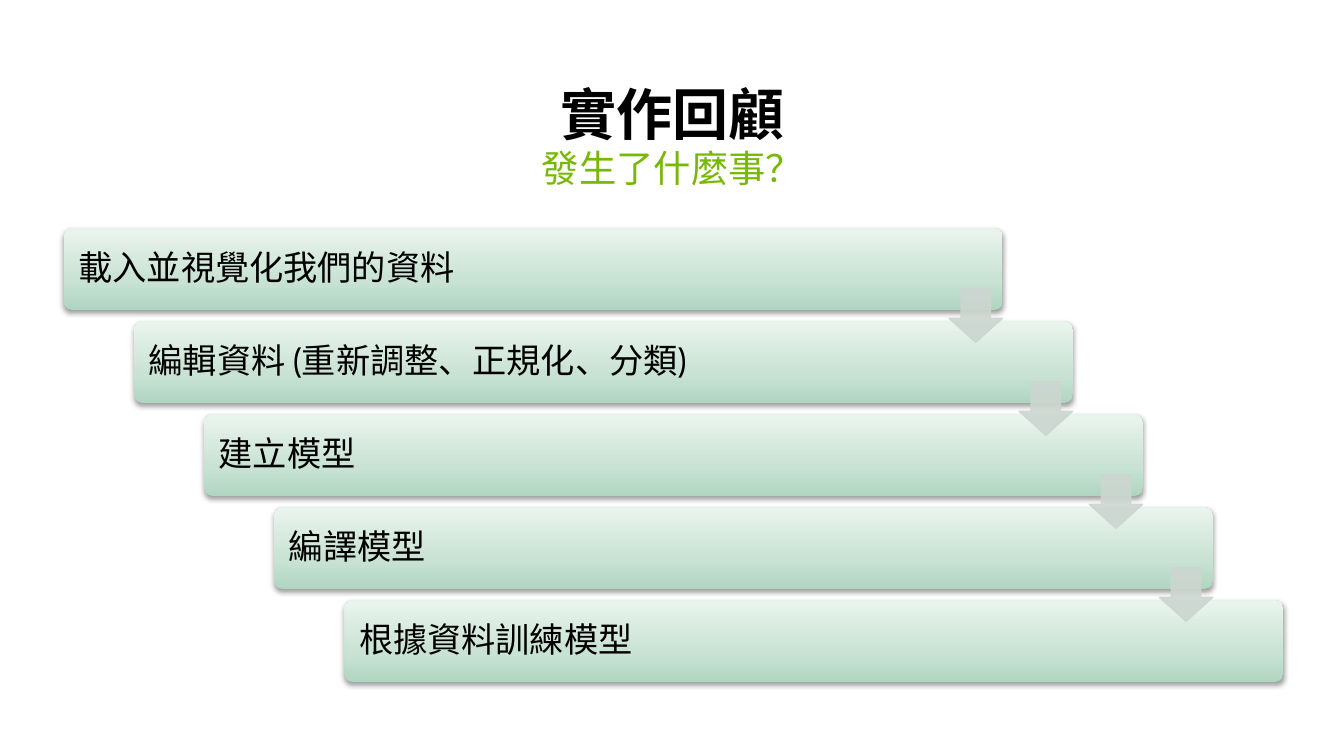
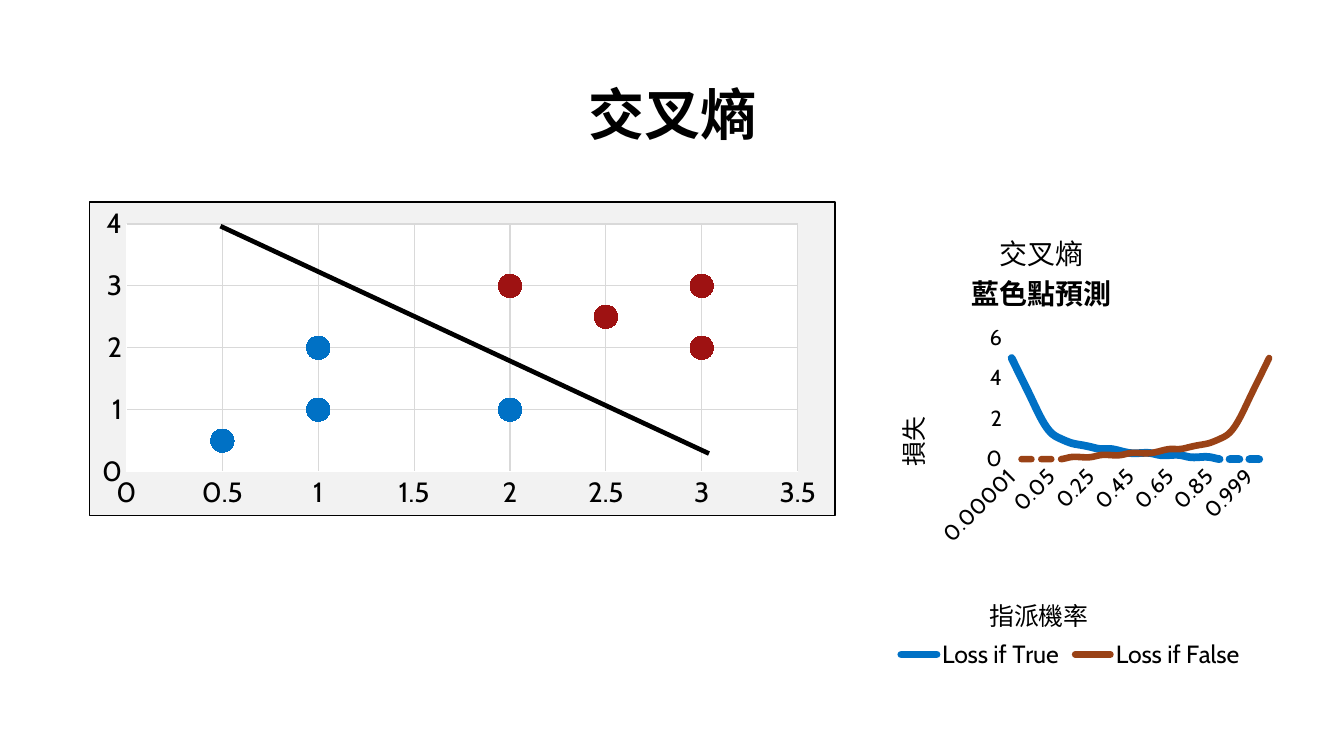
from dataclasses import dataclass
from typing import Any

from pptx import Presentation
from pptx.chart.data import CategoryChartData, XyChartData
from pptx.dml.color import RGBColor
from pptx.enum.chart import XL_CHART_TYPE, XL_LEGEND_POSITION, XL_MARKER_STYLE, XL_TICK_MARK
from pptx.enum.shapes import MSO_CONNECTOR, MSO_SHAPE
from pptx.enum.text import MSO_ANCHOR, MSO_AUTO_SIZE, PP_ALIGN
from pptx.oxml import parse_xml
from pptx.oxml.ns import nsdecls, qn
from pptx.util import Cm, Pt

CENTER = PP_ALIGN.CENTER
LEFT = PP_ALIGN.LEFT
TOP = MSO_ANCHOR.TOP
MIDDLE = MSO_ANCHOR.MIDDLE
BOTTOM = MSO_ANCHOR.BOTTOM
NO_AUTOFIT = MSO_AUTO_SIZE.NONE
ROUND_BAR = MSO_SHAPE.ROUNDED_RECTANGLE
DOWN_ARROW = MSO_SHAPE.DOWN_ARROW
STRAIGHT = MSO_CONNECTOR.STRAIGHT
LINE_CHART = XL_CHART_TYPE.LINE
SCATTER_CHART = XL_CHART_TYPE.XY_SCATTER
LEGEND_BOTTOM = XL_LEGEND_POSITION.BOTTOM
CIRCLE = XL_MARKER_STYLE.CIRCLE
NO_TICK = XL_TICK_MARK.NONE

FONT = "Cabin"
BLACK = RGBColor(0x00, 0x00, 0x00)
WHITE = RGBColor(0xFF, 0xFF, 0xFF)
GREEN = RGBColor(0x76, 0xB9, 0x00)
BAR_DARK = RGBColor(0xB0, 0xD6, 0xC1)
BAR_MIDDLE = RGBColor(0xC8, 0xE2, 0xD3)
BAR_LIGHT = RGBColor(0xEA, 0xF4, 0xEE)
ARROW_GRAY = RGBColor(0xCC, 0xD6, 0xD0)
PANEL_GRAY = RGBColor(0xF2, 0xF2, 0xF2)
GRID_GRAY = RGBColor(0xD9, 0xD9, 0xD9)
BLUE = RGBColor(0x00, 0x71, 0xC5)
RED = RGBColor(0x9E, 0x12, 0x12)
BROWN = RGBColor(0x9A, 0x42, 0x16)

TITLE_AND_BODY, TITLE_ONLY = 1, 5
HEADING_LEFT, HEADING_WIDTH = 1.4, 27.71

STEPS = [
    "載入並視覺化我們的資料",
    "編輯資料 (重新調整、正規化、分類)",
    "建立模型",
    "編譯模型",
    "根據資料訓練模型",
]
BAR_LEFT, BAR_TOP, BAR_WIDTH, BAR_HEIGHT = 1.45, 5.18, 21.29, 1.85
STEP_RIGHT, STEP_DOWN = 1.59, 2.11
ARROW_SIZE = 1.22

PROBABILITIES = (
    ["0.00001", "0.0001", "0.001", "0.01"]
    + [f"{percent / 100:g}" for percent in range(5, 100, 5)]
    + ["0.99", "0.999", "0.9999", "0.99999"]
)


@dataclass(frozen=True)
class LossCurve:
    """One smoothed curve of the loss chart."""

    name: str
    values: list[float]
    colour: RGBColor
    width: float


@dataclass(frozen=True)
class PointGroup:
    """One coloured class of points in the scatter chart."""

    name: str
    points: list[tuple[float, float]]
    colour: RGBColor


LOSS_CURVES = [
    LossCurve("Loss if True", [5, 4, 3, 2, 1.3, 1, 0.8, 0.7, 0.6, 0.5, 0.5, 0.4, 0.3, 0.3,
                               0.3, 0.2, 0.2, 0.2, 0.1, 0.1, 0.1, 0, 0, 0, 0, 0, 0], BLUE, 5),
    LossCurve("Loss if False", [0, 0, 0, 0, 0, 0, 0.1, 0.1, 0.1, 0.2, 0.2, 0.2, 0.3, 0.3,
                                0.3, 0.4, 0.5, 0.5, 0.6, 0.7, 0.8, 1, 1.3, 2, 3, 4, 5], BROWN, 4.25),
]
POINT_GROUPS = [
    PointGroup("Series 1", [(1, 1), (1, 2), (2, 1), (0.5, 0.5)], BLUE),
    PointGroup("Series 2", [(2, 3), (3, 3), (3, 2), (2.5, 2.5)], RED),
]


def set_font(font: Any, size: float, colour: RGBColor = BLACK, bold: bool = False) -> None:
    """Apply the shared typeface with a size, colour and weight."""
    font.name = FONT
    font.size = Pt(size)
    font.bold = bold
    font.color.rgb = colour


def write_text(paragraph: Any, text: str, *, size: float, colour: RGBColor = BLACK,
               bold: bool = False, alignment: Any = CENTER, spacing: float | None = None) -> None:
    """Write one formatted run into a paragraph."""
    paragraph.alignment = alignment
    if spacing:
        paragraph.line_spacing = spacing
    run = paragraph.add_run()
    run.text = text
    set_font(run.font, size, colour, bold)


def fill_heading(placeholder: Any, text: str, top: float, height: float, anchor: Any,
                 **text_format: Any) -> None:
    """Place a heading placeholder and write its text without a bullet."""
    placeholder.left, placeholder.top = Cm(HEADING_LEFT), Cm(top)
    placeholder.width, placeholder.height = Cm(HEADING_WIDTH), Cm(height)
    frame = placeholder.text_frame
    frame.word_wrap = True
    frame.auto_size = NO_AUTOFIT
    frame.vertical_anchor = anchor
    paragraph = frame.paragraphs[0]
    paragraph.space_before = Pt(0)
    write_text(paragraph, text, spacing=0.9, **text_format)
    properties = paragraph._p.get_or_add_pPr()
    properties.set("marL", "0")
    properties.set("indent", "0")
    properties.append(parse_xml(f'<a:buNone {nsdecls("a")}/>'))


def add_titled_slide(presentation: Any, layout: int, title: str) -> Any:
    """Add a slide with the shared title style."""
    slide = presentation.slides.add_slide(presentation.slide_layouts[layout])
    fill_heading(slide.shapes.title, title, 1.83, 1.65, BOTTOM, size=36, bold=True)
    return slide


def add_step_bar(slide: Any, text: str, left: float, top: float) -> None:
    """Draw one shaded step bar with its label."""
    bar = slide.shapes.add_shape(ROUND_BAR, Cm(left), Cm(top), Cm(BAR_WIDTH), Cm(BAR_HEIGHT))
    bar.adjustments[0] = 0.1
    bar.line.fill.background()
    bar.shadow.inherit = False
    stops = "".join(
        f'<a:gs pos="{position * 1000}"><a:srgbClr val="{colour}"/></a:gs>'
        for position, colour in ((0, BAR_DARK), (35, BAR_MIDDLE), (100, BAR_LIGHT))
    )
    properties = bar._element.spPr
    properties.find(qn("a:prstGeom")).addnext(parse_xml(
        f'<a:gradFill {nsdecls("a")} rotWithShape="1"><a:gsLst>{stops}</a:gsLst>'
        '<a:lin ang="16200000" scaled="0"/></a:gradFill>'))
    properties.find(qn("a:effectLst")).append(parse_xml(
        f'<a:outerShdw {nsdecls("a")} blurRad="40000" dist="20000" dir="5400000" rotWithShape="0">'
        f'<a:srgbClr val="{BLACK}"><a:alpha val="38000"/></a:srgbClr></a:outerShdw>'))
    frame = bar.text_frame
    frame.word_wrap = True
    frame.vertical_anchor = MIDDLE
    frame.margin_left = frame.margin_right = Cm(0.28)
    write_text(frame.paragraphs[0], text, size=22, alignment=LEFT, spacing=0.9)


def add_step_arrow(slide: Any, left: float, top: float) -> None:
    """Draw one translucent arrow that leads to the next bar."""
    arrow = slide.shapes.add_shape(DOWN_ARROW, Cm(left), Cm(top), Cm(ARROW_SIZE), Cm(ARROW_SIZE))
    arrow.adjustments[0], arrow.adjustments[1] = 0.55, 0.45
    arrow.shadow.inherit = False
    arrow.fill.solid()
    arrow.fill.fore_color.rgb = ARROW_GRAY
    arrow.line.color.rgb = ARROW_GRAY
    arrow.line.width = Pt(0.75)
    for colour in arrow._element.spPr.iter(qn("a:srgbClr")):
        colour.append(parse_xml(f'<a:alpha {nsdecls("a")} val="90000"/>'))


def place_chart_part(element: Any, **fractions: float) -> None:
    """Give a chart title or plot area a manual place in chart fractions."""
    layout = element.find(qn("c:layout"))
    if layout is None:
        layout = parse_xml(f'<c:layout {nsdecls("c")}/>')
        element.insert(0 if element.find(qn("c:tx")) is None else 1, layout)
    target = '<c:layoutTarget val="inner"/>' if "w" in fractions else ""
    modes = '<c:xMode val="edge"/><c:yMode val="edge"/>'
    values = "".join(f'<c:{name} val="{value}"/>' for name, value in fractions.items())
    layout.append(parse_xml(
        f'<c:manualLayout {nsdecls("c")}>{target}{modes}{values}</c:manualLayout>'))


def style_axis(axis: Any, size: float, grid: RGBColor | None, line: RGBColor | None) -> None:
    """Format tick labels, gridlines and the line of an axis."""
    axis.major_tick_mark = axis.minor_tick_mark = NO_TICK
    set_font(axis.tick_labels.font, size)
    axis.has_major_gridlines = grid is not None
    if grid is not None:
        axis.major_gridlines.format.line.color.rgb = grid
        axis.major_gridlines.format.line.width = Pt(0.75)
    if line is None:
        axis.format.line.fill.background()
    else:
        axis.format.line.color.rgb = line
        axis.format.line.width = Pt(0.75)


def set_scale(axis: Any, maximum: float, unit: float) -> None:
    """Run an axis from zero to a maximum in fixed units."""
    axis.minimum_scale, axis.maximum_scale, axis.major_unit = 0, maximum, unit


def title_axis(axis: Any, text: str, x: float, y: float) -> None:
    """Write and place an axis title."""
    write_text(axis.axis_title.text_frame.paragraphs[0], text, size=16)
    place_chart_part(axis.axis_title._element, x=x, y=y)


def add_loss_chart(slide: Any) -> None:
    """Draw the loss curves over the assigned probability."""
    data = CategoryChartData()
    data.categories = PROBABILITIES
    for curve in LOSS_CURVES:
        data.add_series(curve.name, curve.values)
    chart = slide.shapes.add_chart(LINE_CHART, Cm(19.46), Cm(4.7), Cm(9.63), Cm(10.59), data).chart
    set_font(chart.font, 10)
    chart.has_title = True
    frame = chart.chart_title.text_frame
    write_text(frame.paragraphs[0], "交叉熵", size=18)
    write_text(frame.add_paragraph(), "藍色點預測", size=18, bold=True)
    place_chart_part(chart.chart_title._element, x=0.26, y=0.04)
    place_chart_part(chart._chartSpace.chart.plotArea, x=0.35, y=0.28, w=0.63, h=0.26)
    chart.has_legend = True
    chart.legend.position = LEGEND_BOTTOM
    chart.legend.include_in_layout = False
    set_font(chart.legend.font, 16)
    style_axis(chart.category_axis, 14, None, WHITE)
    style_axis(chart.value_axis, 14, WHITE, None)
    set_scale(chart.value_axis, 6, 2)
    title_axis(chart.category_axis, "指派機率", 0.3, 0.82)
    title_axis(chart.value_axis, "損失", 0.07, 0.44)
    chart.category_axis._element.find(qn("c:txPr")).find(qn("a:bodyPr")).set("rot", "-2700000")
    chart.plots[0].vary_by_categories = False
    for series, curve in zip(chart.plots[0].series, LOSS_CURVES):
        series.smooth = True
        series.format.line.color.rgb = curve.colour
        series.format.line.width = Pt(curve.width)
        series._element.xpath("c:spPr/a:ln")[0].set("cap", "rnd")


def add_point_chart(slide: Any) -> None:
    """Draw the two classes of points on a framed panel."""
    data = XyChartData()
    for group in POINT_GROUPS:
        group_data = data.add_series(group.name)
        for x, y in group.points:
            group_data.add_data_point(x, y)
    chart = slide.shapes.add_chart(SCATTER_CHART, Cm(2.01), Cm(4.57), Cm(16.94), Cm(7.14), data).chart
    set_font(chart.font, 18)
    chart.has_title = chart.has_legend = False
    for axis, maximum, unit in ((chart.category_axis, 3.5, 0.5), (chart.value_axis, 4, 1)):
        style_axis(axis, 18, GRID_GRAY, WHITE)
        set_scale(axis, maximum, unit)
    chart.plots[0].vary_by_categories = False
    for series, group in zip(chart.plots[0].series, POINT_GROUPS):
        series.format.line.fill.background()
        series.marker.style = CIRCLE
        series.marker.size = 15
        series.marker.format.fill.solid()
        series.marker.format.fill.fore_color.rgb = group.colour
        series.marker.format.line.color.rgb = group.colour
    chart_element = chart._chartSpace.chart
    place_chart_part(chart_element.plotArea, x=0.05, y=0.07, w=0.9, h=0.79)
    fill = '<a:solidFill><a:srgbClr val="{}"/></a:solidFill>'
    panel = f'<c:spPr {nsdecls("c", "a")}>{fill}' + "{}</c:spPr>"
    border = f'<a:ln w="9525">{fill.format(BLACK)}</a:ln>'
    chart_element.plotArea.append(parse_xml(panel.format(WHITE, "")))
    chart_element.addnext(parse_xml(panel.format(PANEL_GRAY, border)))


def build_review_slide(presentation: Any) -> None:
    """Build the staircase of training steps."""
    slide = add_titled_slide(presentation, TITLE_AND_BODY, "實作回顧")
    fill_heading(slide.placeholders[1], "發生了什麼事？", 3.28, 1.45, TOP, size=24, colour=GREEN)
    corners = [(BAR_LEFT + i * STEP_RIGHT, BAR_TOP + i * STEP_DOWN) for i in range(len(STEPS))]
    for text, (left, top) in zip(STEPS, corners):
        add_step_bar(slide, text, left, top)
    for left, top in corners[:-1]:
        gap_middle = top + (BAR_HEIGHT + STEP_DOWN) / 2
        add_step_arrow(slide, left + BAR_WIDTH - ARROW_SIZE, gap_middle - ARROW_SIZE / 2)


def build_entropy_slide(presentation: Any) -> None:
    """Build the cross entropy slide with its dividing line."""
    slide = add_titled_slide(presentation, TITLE_ONLY, "交叉熵")
    add_loss_chart(slide)
    add_point_chart(slide)
    divider = slide.shapes.add_connector(STRAIGHT, Cm(5), Cm(5.13), Cm(16.08), Cm(10.29))
    divider.line.color.rgb = BLACK
    divider.line.width = Pt(3)
    divider._element.spPr.append(parse_xml(f'<a:effectLst {nsdecls("a")}/>'))


def main() -> None:
    """Build and save the presentation."""
    presentation = Presentation()
    presentation.slide_width, presentation.slide_height = Cm(30.48), Cm(17.15)
    build_review_slide(presentation)
    build_entropy_slide(presentation)
    presentation.save("out.pptx")


if __name__ == "__main__":
    main()
